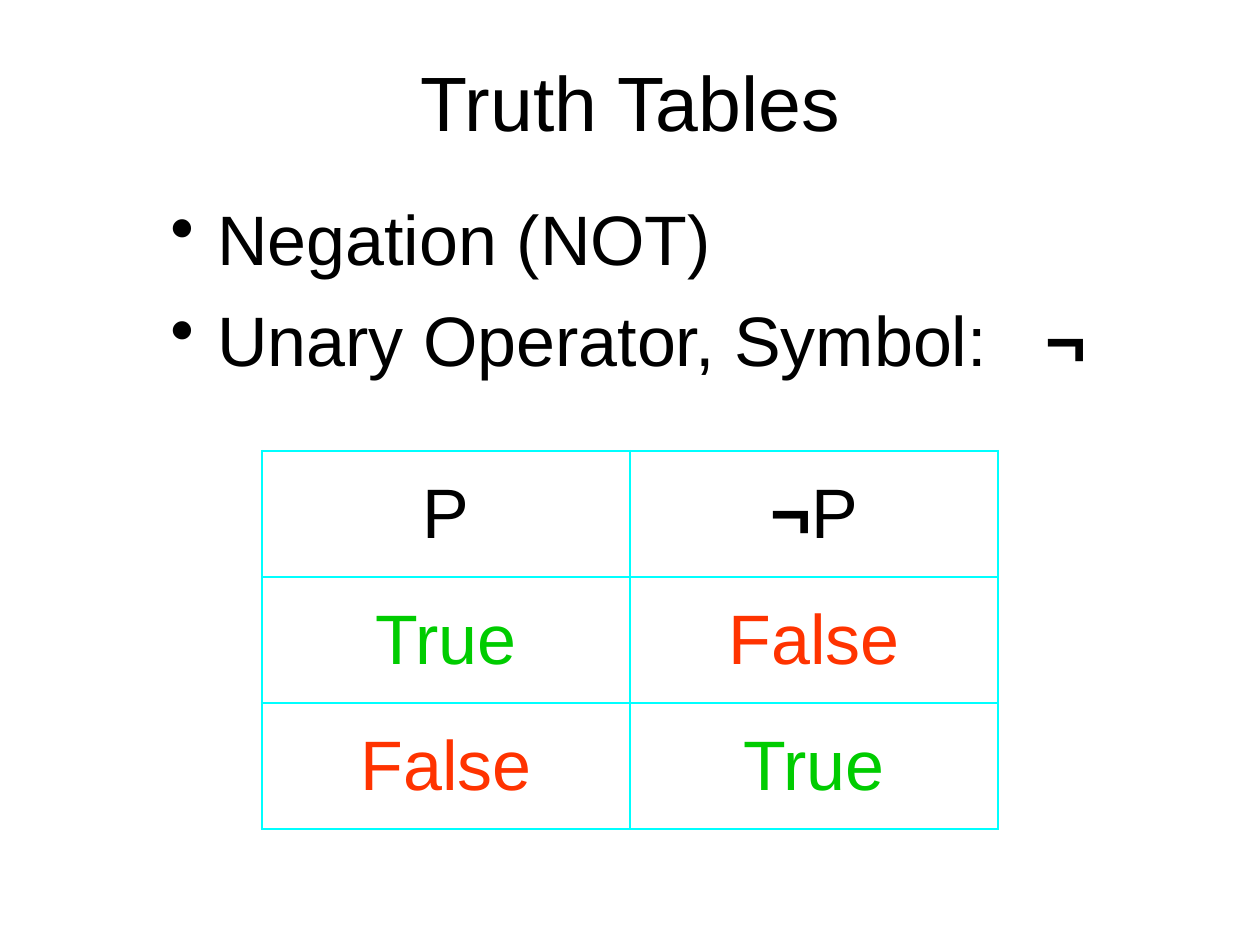
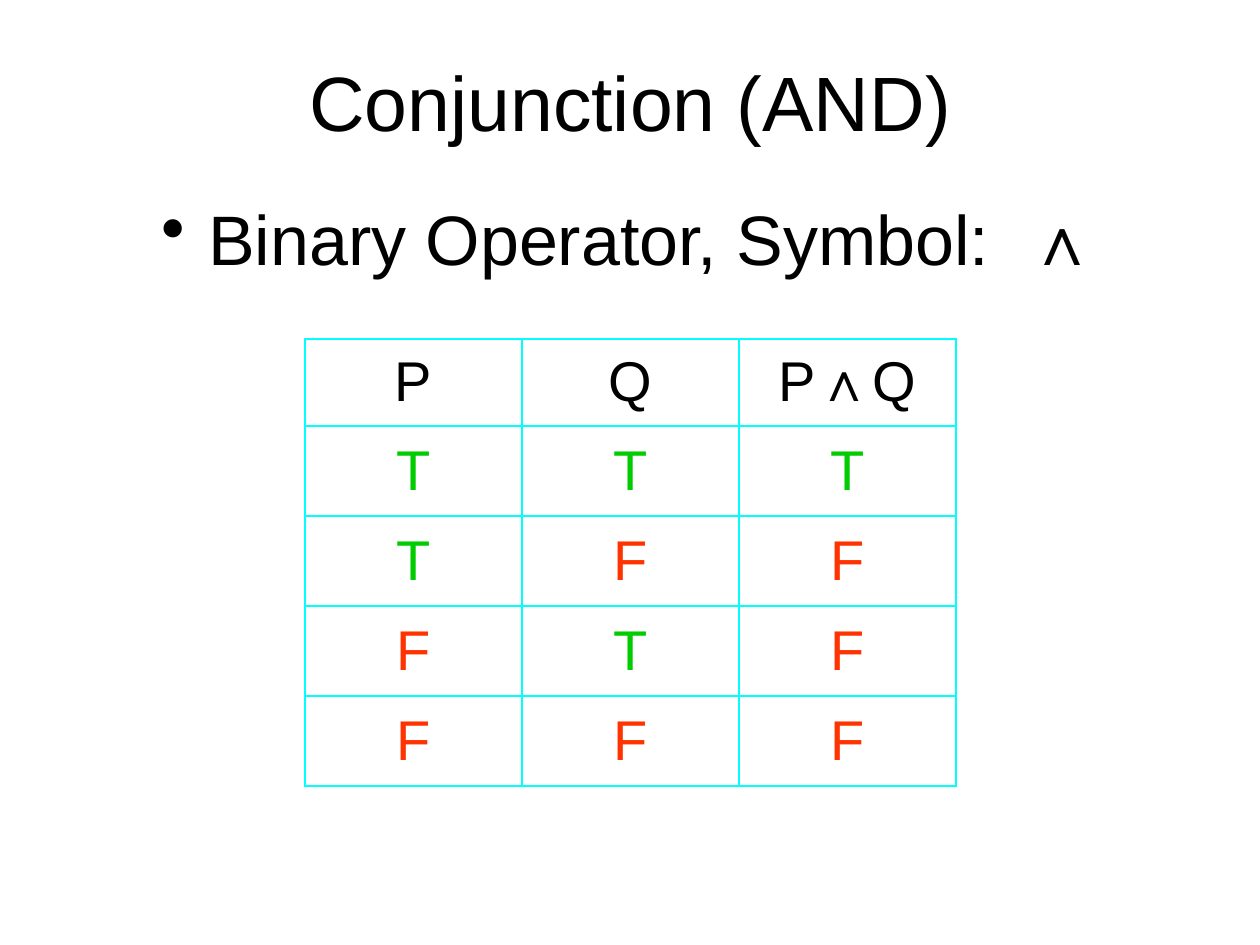
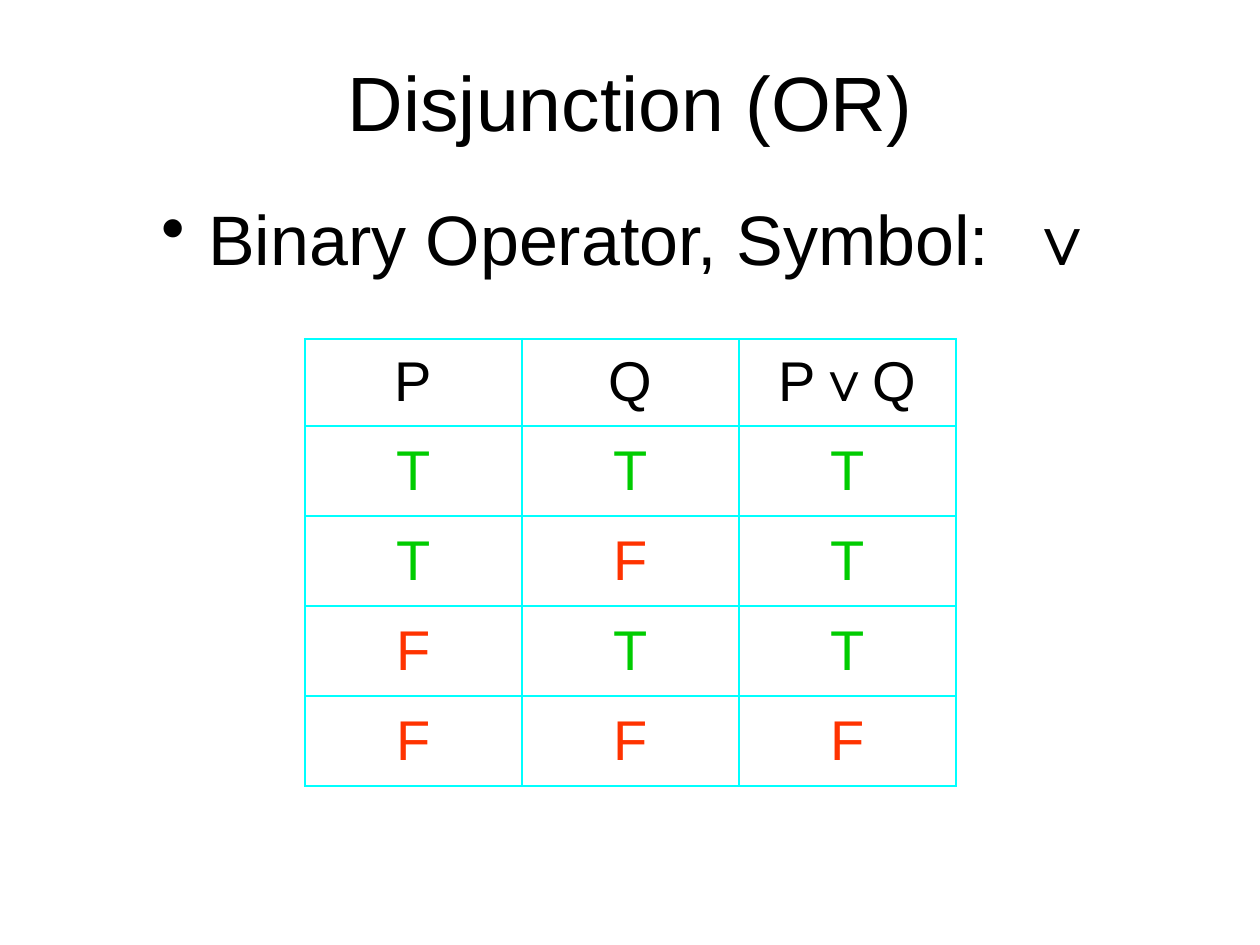
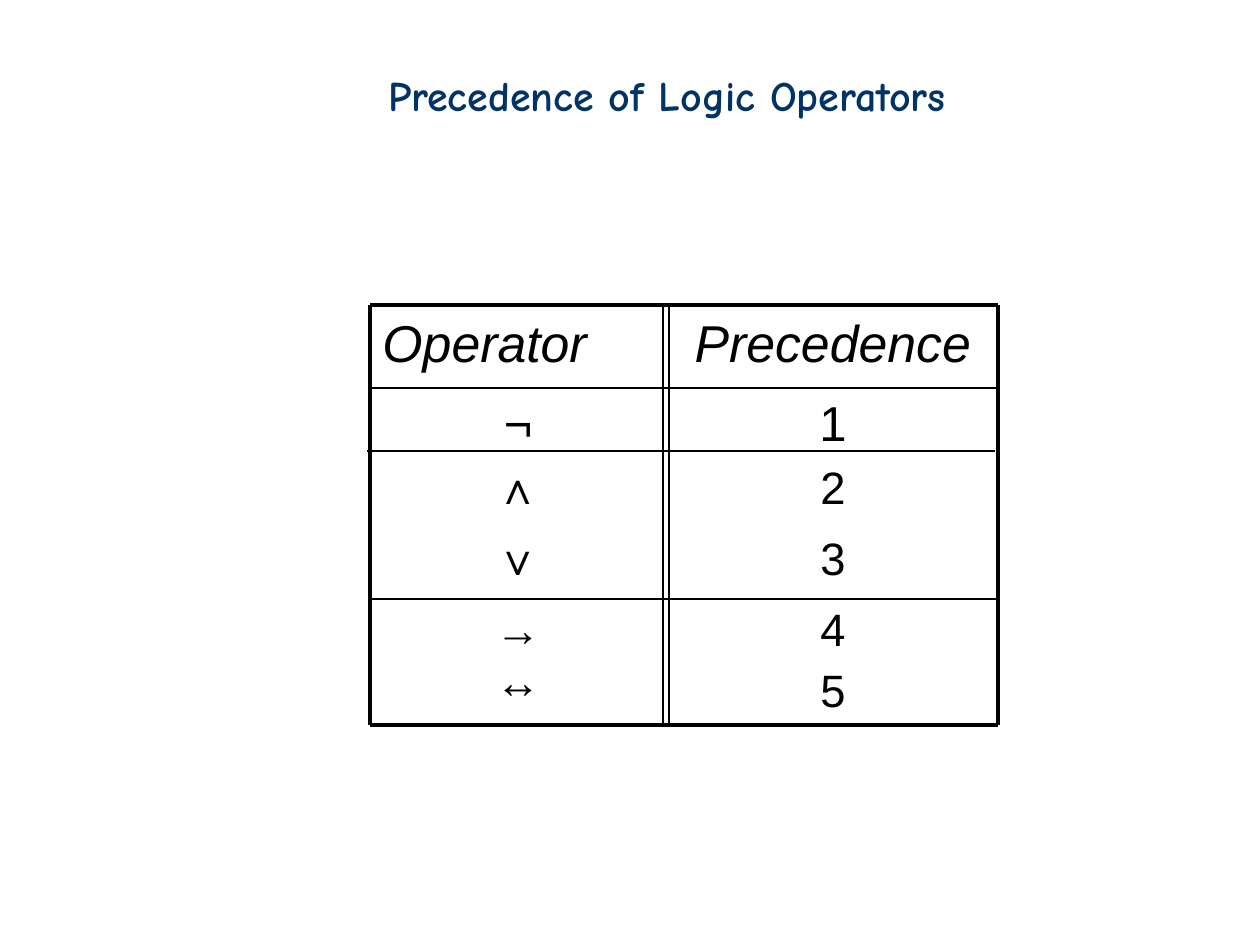
from lxml import etree
from pptx import Presentation
from pptx.dml.color import RGBColor
from pptx.enum.shapes import MSO_CONNECTOR
from pptx.enum.text import MSO_ANCHOR, PP_ALIGN
from pptx.oxml.ns import qn
from pptx.util import Emu, Pt

LEFT, CENTER = PP_ALIGN.LEFT, PP_ALIGN.CENTER
TOP, MIDDLE = MSO_ANCHOR.TOP, MSO_ANCHOR.MIDDLE
STRAIGHT = MSO_CONNECTOR.STRAIGHT

COLORS = {
    "text": "000000",
    "heading": "003366",
    "true": "00CC00",
    "false": "FF3300",
    "border": "00FFFF",
}
TRUTH_COLORS = {"True": "true", "T": "true", "False": "false", "F": "false"}
FONT, HEADING_FONT = "Arial", "Comic Neue"
SCALE = 914400 / 126
SLIDE_SIZE = (1260, 945)
TITLE_BOX = (95, 53, 1071, 95)
BULLET_INDENT = 47
BOLD = {"bold": True}
GAP = (" ", {"spacing": 11})

# A line of text is a string or a list of (text, format) runs.
BINARY_BODY = {"body_box": (73, 189, 1113, 116), "body_align": CENTER}
BINARY_TABLE = {"table_at": (305, 339), "columns": [217] * 3,
                "rows": [87] + [90] * 4, "size": 32}
TRUTH_SLIDES = [
    {
        "title": "Truth Tables",
        "body_box": (158, 189, 1029, 199),
        "body_align": LEFT,
        "body": ["Negation (NOT)",
                 [("Unary Operator, Symbol: ", {}), GAP, ("¬", BOLD)]],
        "table_at": (262, 451), "columns": [368] * 2, "rows": [126] * 3,
        "size": 40,
        "cells": [["P", [("¬", BOLD), ("P", {})]],
                  ["True", "False"],
                  ["False", "True"]],
    },
    {
        "title": "Conjunction (AND)",
        **BINARY_BODY,
        "body": [[("Binary Operator, Symbol:", {}), GAP, ("∧", BOLD)]],
        **BINARY_TABLE,
        "cells": [["P", "Q", "P∧Q"], *map(list, ("TTT", "TFF", "FTF", "FFF"))],
    },
    {
        "title": "Disjunction (OR)",
        **BINARY_BODY,
        "body": [[("Binary Operator, Symbol:", {}), GAP, ("∨", BOLD)]],
        **BINARY_TABLE,
        "cells": [["P", "Q", [("P", {}), ("∨", BOLD), ("Q", {})]],
                  *map(list, ("TTT", "TFT", "FTT", "FFF"))],
    },
]
for content in TRUTH_SLIDES[1:]:
    symbol_line = content["body"][0]
    symbol_line[0] = ("Binary Operator, Symbol:", {})
    symbol_line[1] = (" ", {"spacing": 11})

PRECEDENCE_TITLE = "Precedence of Logic Operators"
PRECEDENCE_TITLE_BOX = (210, 63, 914, 63)
OPERATOR_COLUMN, PRECEDENCE_COLUMN = (370, 296), (668, 330)
HEADER = {"size": 29.6, "italic": True, "anchor": MIDDLE, "line_spacing": 0.9}
FIRST = {"size": 28}
OTHER = {"size": 25.9, "line_spacing": 0.9}
# operator, precedence, top of each, height, format
PRECEDENCE_ROWS = [
    ("Operator", "Precedence", 306, 306, 79, HEADER),
    ("¬", "1", 386, 386, 73, FIRST),
    ("∧", "2", 459, 459, 72, OTHER),
    ("∨", "3", 530, 530, 72, OTHER),
    ("→", "4", 601, 601, 72, OTHER),
    ("↔", "5", 653, 662, 72, OTHER),
]
GRID_LEFT, GRID_TOP, GRID_RIGHT, GRID_BOTTOM = 370, 305, 998, 725
THIN, THICK = 1, 2.25
HORIZONTAL_RULES = [(GRID_TOP, THICK, 0), (388, THIN, 0), (451, THIN, -3),
                    (599, THIN, 0), (GRID_BOTTOM, THICK, 0)]
VERTICAL_RULES = [(GRID_LEFT, THICK), (663, THIN), (669, THIN), (GRID_RIGHT, THICK)]


def px(length):
    return Emu(round(length * SCALE))


def rgb(name):
    return RGBColor.from_string(COLORS[name])


def write(paragraph, line, size=40, font=FONT, color="text", bold=False,
          italic=False, align=CENTER, line_spacing=None):
    paragraph.alignment = align
    if line_spacing:
        paragraph.line_spacing = line_spacing
    runs = [(line, {})] if isinstance(line, str) else line
    for text, special in runs:
        run = paragraph.add_run()
        run.text = text
        run.font.name = font
        run.font.size = Pt(size)
        run.font.bold = special.get("bold", bold)
        run.font.italic = italic
        run.font.color.rgb = rgb(color)
        if "spacing" in special:
            run.font._element.set("spc", str(special["spacing"] * 100))


def add_text_frame(slide, box, anchor=TOP):
    frame = slide.shapes.add_textbox(*map(px, box)).text_frame
    frame.word_wrap = True
    frame.vertical_anchor = anchor
    return frame


def add_text(slide, box, line, anchor=TOP, **text_format):
    frame = add_text_frame(slide, box, anchor)
    write(frame.paragraphs[0], line, **text_format)


def add_bullets(slide, box, lines, align):
    frame = add_text_frame(slide, box)
    for index, line in enumerate(lines):
        paragraph = frame.add_paragraph() if index else frame.paragraphs[0]
        properties = paragraph._p.get_or_add_pPr()
        properties.set("marL", str(px(BULLET_INDENT)))
        properties.set("indent", str(-px(BULLET_INDENT)))
        etree.SubElement(properties, qn("a:buChar")).set("char", "•")
        if index:
            paragraph.space_before = Pt(10)
        write(paragraph, line, align=align)


def add_borders(cell):
    properties = cell._tc.get_or_add_tcPr()
    for index, side in enumerate(("a:lnL", "a:lnR", "a:lnT", "a:lnB")):
        border = etree.Element(qn(side), w=str(Pt(1.47)))
        fill = etree.SubElement(border, qn("a:solidFill"))
        etree.SubElement(fill, qn("a:srgbClr")).set("val", COLORS["border"])
        properties.insert(index, border)


def add_truth_table(slide, corner, columns, rows, cells, size):
    table = slide.shapes.add_table(
        len(rows), len(columns), *map(px, corner),
        px(sum(columns)), px(sum(rows))).table
    table.first_row = table.horz_banding = False
    for column, width in zip(table.columns, columns):
        column.width = px(width)
    for row, height, lines in zip(table.rows, rows, cells):
        row.height = px(height)
        for cell, line in zip(row.cells, lines):
            cell.fill.background()
            add_borders(cell)
            cell.vertical_anchor = MIDDLE
            color = TRUTH_COLORS.get(line, "text") if isinstance(line, str) else "text"
            write(cell.text_frame.paragraphs[0], line, size=size, color=color)


def add_rule(slide, start, end, width):
    rule = slide.shapes.add_connector(STRAIGHT, *map(px, start + end))
    rule.line.color.rgb = rgb("text")
    rule.line.width = Pt(width)
    etree.SubElement(rule._element.spPr, qn("a:effectLst"))


def add_truth_slide(slide, content):
    add_text(slide, TITLE_BOX, content["title"], anchor=MIDDLE, size=44)
    add_bullets(slide, content["body_box"], content["body"], content["body_align"])
    add_truth_table(slide, content["table_at"], content["columns"],
                    content["rows"], content["cells"], content["size"])


def add_precedence_slide(slide):
    add_text(slide, PRECEDENCE_TITLE_BOX, PRECEDENCE_TITLE, size=24,
             font=HEADING_FONT, color="heading", bold=True)
    for operator, precedence, operator_top, precedence_top, height, style in PRECEDENCE_ROWS:
        operator_align = LEFT if style is HEADER else CENTER
        for (left, width), top, text, align in (
                (OPERATOR_COLUMN, operator_top, operator, operator_align),
                (PRECEDENCE_COLUMN, precedence_top, precedence, CENTER)):
            add_text(slide, (left, top, width, height), text, align=align, **style)
    for y, width, shift in HORIZONTAL_RULES:
        add_rule(slide, (GRID_LEFT + shift, y), (GRID_RIGHT + shift, y), width)
    for x, width in VERTICAL_RULES:
        add_rule(slide, (x, GRID_TOP), (x, GRID_BOTTOM), width)


def main():
    presentation = Presentation()
    presentation.slide_width, presentation.slide_height = map(px, SLIDE_SIZE)
    blank = presentation.slide_layouts[6]
    for content in TRUTH_SLIDES:
        add_truth_slide(presentation.slides.add_slide(blank), content)
    add_precedence_slide(presentation.slides.add_slide(blank))
    presentation.save("out.pptx")


if __name__ == "__main__":
    main()
